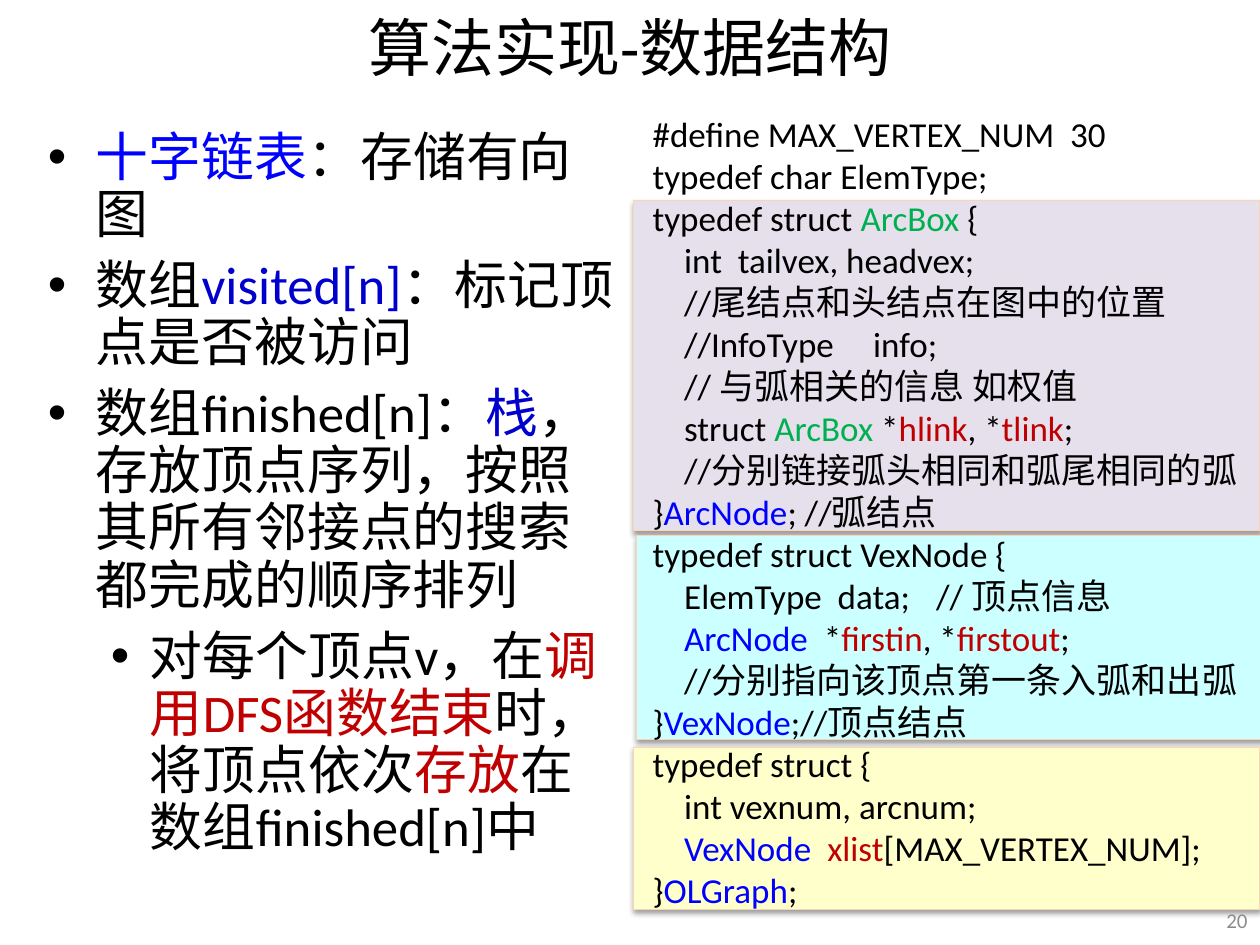
from lxml.etree import SubElement
from pptx import Presentation
from pptx.dml.color import RGBColor
from pptx.enum.shapes import MSO_SHAPE as Shape
from pptx.enum.text import MSO_ANCHOR as Anchor, MSO_AUTO_SIZE as AutoSize, PP_ALIGN as Align
from pptx.oxml.ns import qn
from pptx.util import Inches, Pt

BLACK, BLUE, NAVY, RED, GREEN = "000000", "0000FF", "0000CC", "C00000", "00B050"


def rgb(value):
    return RGBColor.from_string(value)


def write_text(paragraph, *pieces, size=20, color=BLACK, align=Align.LEFT,
               left=0, hanging=0, spacing=1.0, before=0, bullet=None, tab=None):
    paragraph.alignment = align
    paragraph.line_spacing = spacing
    paragraph.space_before = Pt(before)
    properties = paragraph._p.get_or_add_pPr()
    properties.set("marL", str(Inches(left)))
    properties.set("indent", str(-Inches(hanging)))
    if bullet:
        bullet_color = SubElement(properties, qn("a:buClr"))
        SubElement(bullet_color, qn("a:srgbClr"), val=BLACK)
        SubElement(properties, qn("a:buFont"), typeface="Arial")
        SubElement(properties, qn("a:buChar"), char=bullet)
    else:
        SubElement(properties, qn("a:buNone"))
    if tab:
        tabs = SubElement(properties, qn("a:tabLst"))
        SubElement(tabs, qn("a:tab"), pos=str(Inches(tab)), algn="l")
    for piece in pieces:
        words, piece_color = (piece, color) if isinstance(piece, str) else piece
        run = paragraph.add_run()
        run.text = words
        run.font.name = "Calibri"
        run.font.size = Pt(size)
        run.font.color.rgb = rgb(piece_color)


presentation = Presentation()
presentation.slide_width, presentation.slide_height = Inches(10), Inches(7.5)
slide = presentation.slides.add_slide(presentation.slide_layouts[3])
title, notes, code = slide.placeholders

for placeholder, left, top, width, height in [
    (title, 0.5, -0.03, 9, 0.79),
    (notes, 0.28, 0.99, 4.77, 6.51),
    (code, 5.08, 0.84, 4.92, 6.54),
]:
    placeholder.left, placeholder.top = Inches(left), Inches(top)
    placeholder.width, placeholder.height = Inches(width), Inches(height)
    placeholder.text_frame.auto_size = AutoSize.NONE

for left, top, width, height, fill in [
    (5.03, 1.59, 4.97, 2.62, "E6E0EC"),
    (5.05, 4.25, 4.97, 1.62, "CCFFFF"),
    (5.03, 5.93, 4.97, 1.29, "FFFFCC"),
]:
    panel = slide.shapes.add_shape(
        Shape.RECTANGLE, Inches(left), Inches(top), Inches(width), Inches(height))
    panel.fill.solid()
    panel.fill.fore_color.rgb = rgb(fill)
    panel.line.color.rgb = rgb("FCD5B5")
    panel.line.width = Pt(0.75)
    panel.shadow.inherit = False
    effects = panel.element.spPr.find(qn("a:effectLst"))
    shadow = SubElement(effects, qn("a:outerShdw"), blurRad=str(Pt(3.1)),
                        dist=str(Pt(1.6)), dir="5400000", rotWithShape="0")
    shadow_color = SubElement(shadow, qn("a:srgbClr"), val=BLACK)
    SubElement(shadow_color, qn("a:alpha"), val="38000")
    title.element.addprevious(panel.element)

title.text_frame.vertical_anchor = Anchor.MIDDLE
write_text(title.text_frame.paragraphs[0], "算法实现-数据结构", size=36, align=Align.CENTER)

note_items = [
    (0, [("十字链表", BLUE), "：存储有向图"]),
    (0, ["数组", ("visited[n]", NAVY), "：标记顶点是否被访问"]),
    (0, ["数组finished[n]：", ("栈", NAVY),
         "，存放顶点序列，按照其所有邻接点的搜索都完成的顺序排列"]),
    (1, ["对每个顶点v，在", ("调用DFS函数结束", RED), "时，将顶点依次",
         ("存放", RED), "在数组finished[n]中"]),
]
note_indents = [(0.38, 0.38), (0.81, 0.31)]
for index, (level, pieces) in enumerate(note_items):
    frame = notes.text_frame
    paragraph = frame.add_paragraph() if index else frame.paragraphs[0]
    paragraph.level = level
    left, hanging = note_indents[level]
    write_text(paragraph, *pieces, size=30.2, left=left, hanging=hanging,
               spacing=0.9, before=8, bullet="•")

code_lines = [
    (0, ["#define MAX_VERTEX_NUM  30"]),
    (0, ["typedef char ElemType;"]),
    (0, ["typedef struct ", ("ArcBox", GREEN), " {"]),
    (1, ["int  tailvex, headvex;"]),
    (1, ["//尾结点和头结点在图中的位置"]),
    (1, ["//InfoType\tinfo;"], 1.69),
    (1, ["// 与弧相关的信息 如权值"]),
    (1, ["struct ", ("ArcBox", GREEN), " *", ("hlink", RED), ", *", ("tlink", RED), ";"]),
    (1, ["//分别链接弧头相同和弧尾相同的弧"]),
    (0, ["}", ("ArcNode", BLUE), "; //弧结点"]),
    (0, ["typedef struct VexNode {"]),
    (1, ["ElemType  data;\t// 顶点信息"], 2.3),
    (1, [("ArcNode", BLUE), "  *", ("firstin", RED), ", *", ("firstout", RED), ";"]),
    (1, ["//分别指向该顶点第一条入弧和出弧"]),
    (0, ["}", ("VexNode", BLUE), ";//顶点结点"]),
    (0, ["typedef struct {"]),
    (1, ["int vexnum, arcnum;"]),
    (1, [("VexNode  ", BLUE), ("xlist", RED), "[MAX_VERTEX_NUM];"]),
    (0, ["}", ("OLGraph", BLUE), ";"]),
]
for index, (depth, pieces, *tab) in enumerate(code_lines):
    frame = code.text_frame
    paragraph = frame.add_paragraph() if index else frame.paragraphs[0]
    write_text(paragraph, *pieces, left=0.25 * depth, tab=tab[0] if tab else None)

page_number = slide.shapes.add_textbox(Inches(9.57), Inches(7.1), Inches(0.43), Inches(0.4))
page_number.text_frame.word_wrap = True
page_number.text_frame.vertical_anchor = Anchor.MIDDLE
write_text(page_number.text_frame.paragraphs[0], "20", size=12, color="8C8C8C", align=Align.RIGHT)

presentation.save("out.pptx")
